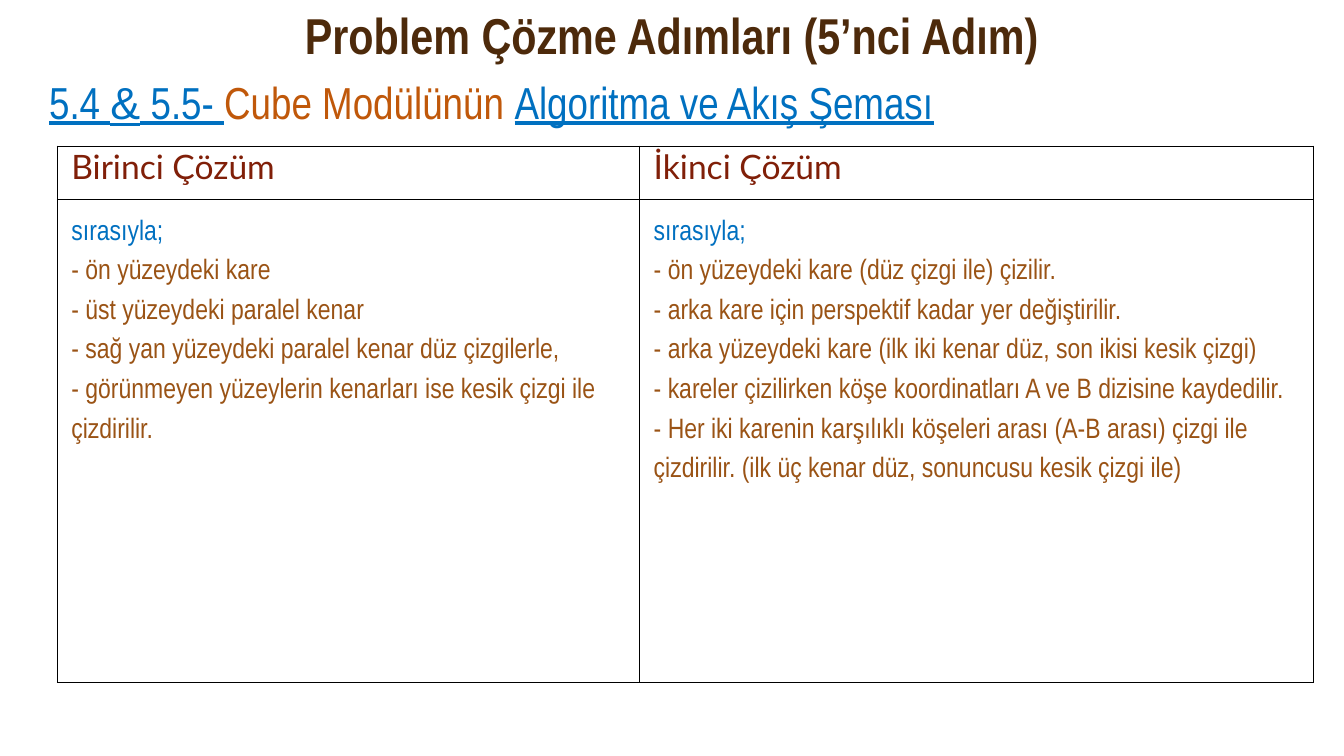
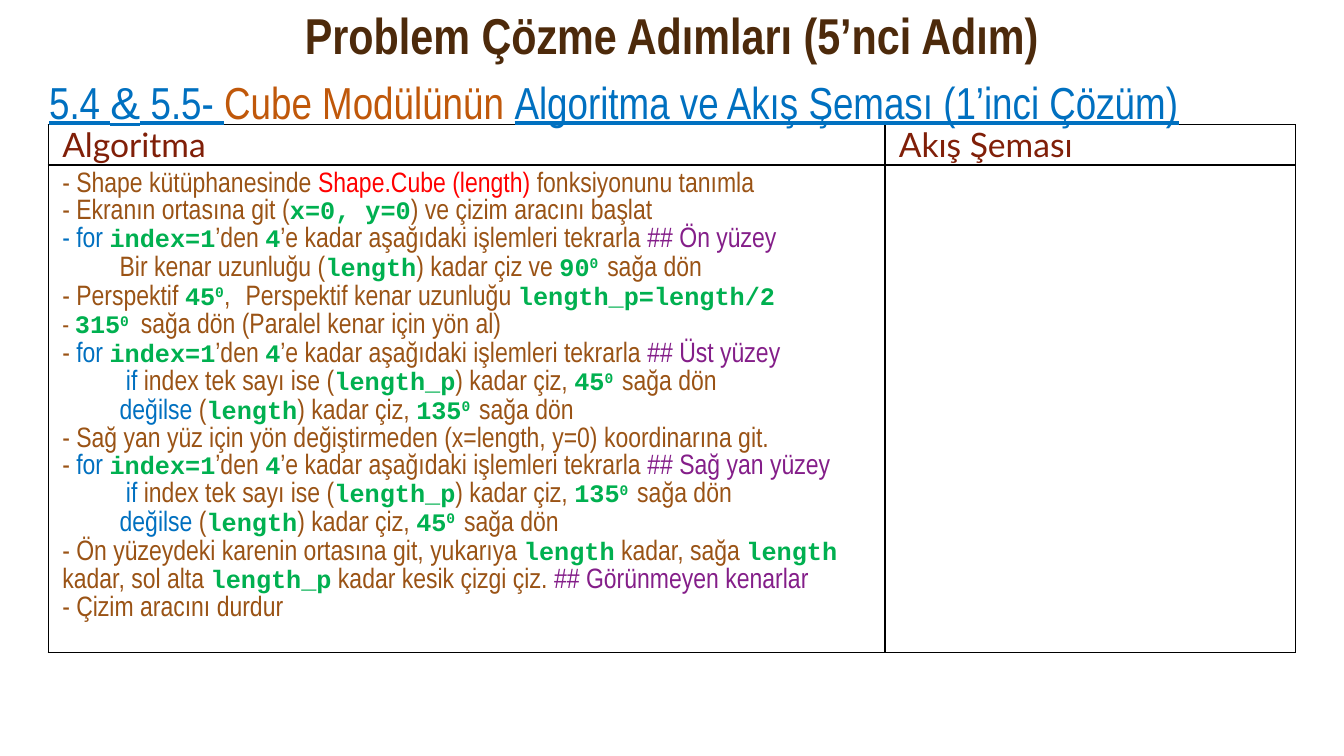
from dataclasses import dataclass

from lxml.etree import SubElement
from pptx import Presentation
from pptx.dml.color import RGBColor
from pptx.enum.text import MSO_ANCHOR as Anchor, PP_ALIGN as Align
from pptx.oxml.ns import qn
from pptx.util import Pt


@dataclass(frozen=True)
class Theme:
    narrow: str = "Arial Narrow"
    sans: str = "Arial"
    mono: str = "Courier New"
    heading: str = "Lato"
    title_color: str = "4D2A0B"
    header_color: str = "801F08"
    accent: str = "C0580A"
    body_color: str = "9A5315"
    blue: str = "0070C0"
    green: str = "00B050"
    red: str = "FF0000"
    purple: str = "841E89"
    border: str = "000000"
    title_size: int = 36
    subtitle_size: int = 32
    header_size: int = 24
    body_size: int = 20
    code_size: int = 18
    gap_size: int = 14


theme = Theme()


def style(name, size, color, **extra):
    return {"format": {"name": name, "size": Pt(size), "bold": False, **extra}, "color": color}


STYLES = {
    "title": style(theme.narrow, theme.title_size, theme.title_color, bold=True),
    "link": style(theme.narrow, theme.subtitle_size, theme.blue, underline=True),
    "ampersand": style(theme.sans, theme.subtitle_size, theme.blue, underline=True),
    "topic": style(theme.narrow, theme.subtitle_size, theme.accent),
    "header": style(theme.heading, theme.header_size, theme.header_color),
    "text": style(theme.narrow, theme.body_size, theme.body_color),
    "small": style(theme.narrow, theme.code_size, theme.body_color),
    "keyword": style(theme.narrow, theme.body_size, theme.blue),
    "name": style(theme.narrow, theme.body_size, theme.red),
    "note": style(theme.narrow, theme.body_size, theme.purple),
    "code": style(theme.mono, theme.code_size, theme.green, bold=True),
    "degree": style(theme.mono, theme.code_size, theme.green, bold=True),
    "gap": style(theme.mono, theme.gap_size, theme.green, bold=True),
}

WIDTH, HEIGHT = 960, 540
TITLE_BOX = (0, 5.8, WIDTH, 42.5)
SUBTITLE_BOX = (28, 50, 864, 46)
CELL_INSET = 10
BODY_INSET = 5
STEP_INDENT = 41
BRANCH_INDENT = 45.5
BORDER_WIDTH = 1

TITLE = "Problem Çözme Adımları (5’nci Adım)"


def line(*runs, indent=0):
    return {"runs": runs, "indent": indent}


def loop(surface, dash="text"):
    return line((dash, "- "), ("keyword", "for "), ("code", "index=1"), ("text", "’den "),
                ("code", "4"), ("text", "’e kadar aşağıdaki işlemleri tekrarla "),
                ("note", f"## {surface}"))


def turn(angle):
    return ("code", angle), ("degree", "0 "), ("text", "sağa dön")


def branches(odd_angle, even_angle):
    return [
        line(("keyword", "if "), ("text", "index tek sayı ise ("), ("code", "length_p"),
             ("text", ") kadar çiz, "), *turn(odd_angle), indent=BRANCH_INDENT),
        line(("keyword", "değilse"), ("text", " ("), ("code", "length"),
             ("text", ") kadar çiz, "), *turn(even_angle), indent=STEP_INDENT),
    ]


def steps(*items):
    return [line(("keyword", "sırasıyla;"))] + [line(("text", f"- {item}")) for item in items]


ALGORITHM = [
    line(("text", "- Shape kütüphanesinde "), ("name", "Shape.Cube (length) "),
         ("text", "fonksiyonunu tanımla")),
    line(("text", "- Ekranın ortasına git ("), ("code", "x=0, y=0"),
         ("text", ") ve çizim aracını başlat")),
    loop("Ön yüzey", dash="keyword"),
    line(("text", "Bir kenar uzunluğu ("), ("code", "length"), ("text", ") kadar çiz ve "),
         *turn("90"), indent=STEP_INDENT),
    line(("text", "- Perspektif "), ("code", "45"), ("degree", "0"), ("text", ","),
         ("code", " "), ("text", "Perspektif kenar uzunluğu "), ("code", "length_p=length/2")),
    line(("small", "- "), ("code", "315"), ("degree", "0"), ("gap", " "),
         ("text", "sağa dön (Paralel kenar için yön al)")),
    loop("Üst yüzey"),
    *branches("45", "135"),
    line(("text", "- Sağ yan yüz için yön değiştirmeden (x=length, y=0) koordinarına git.")),
    loop("Sağ yan yüzey"),
    *branches("135", "45"),
    line(("text", "- Ön yüzeydeki karenin ortasına git, yukarıya "), ("code", "length"),
         ("text", " kadar, sağa "), ("code", "length"), ("text", " kadar, sol alta "),
         ("code", "length_p"), ("text", " kadar kesik çizgi çiz. "),
         ("note", "## Görünmeyen kenarlar")),
    line(("text", "- Çizim aracını durdur")),
]

SLIDES = [
    {
        "subject": "Algoritma ve Akış Şeması",
        "position": (41, 104.4),
        "columns": (416, 481),
        "rows": (38.2, 345),
        "spacing": 1.5,
        "headers": ("Birinci Çözüm", "İkinci Çözüm"),
        "bodies": (
            steps("ön yüzeydeki kare",
                  "üst yüzeydeki paralel kenar",
                  "sağ yan yüzeydeki paralel kenar düz çizgilerle,",
                  "görünmeyen yüzeylerin kenarları ise kesik çizgi ile çizdirilir."),
            steps("ön yüzeydeki kare (düz çizgi ile) çizilir.",
                  "arka kare için perspektif kadar yer değiştirilir.",
                  "arka yüzeydeki kare (ilk iki kenar düz, son ikisi kesik çizgi)",
                  "kareler çizilirken köşe koordinatları A ve B dizisine kaydedilir.",
                  "Her iki karenin karşılıklı köşeleri arası (A-B arası) çizgi ile "
                  "çizdirilir. (ilk üç kenar düz, sonuncusu kesik çizgi ile)"),
        ),
    },
    {
        "subject": "Algoritma ve Akış Şeması (1’inci Çözüm)",
        "position": (34.5, 89),
        "columns": (597.6, 293),
        "rows": (28.6, 348.5),
        "spacing": 1,
        "headers": ("Algoritma", "Akış Şeması"),
        "bodies": (ALGORITHM, []),
    },
]


def set_all(target, values):
    for name, value in values.items():
        setattr(target, name, value)


def place(shape, box):
    set_all(shape, dict(zip(("left", "top", "width", "height"), map(Pt, box))))


def margins(side, vertical):
    return {"margin_left": Pt(side), "margin_right": Pt(side),
            "margin_top": Pt(vertical), "margin_bottom": Pt(vertical)}


def write_lines(frame, lines, **paragraph_format):
    for index, item in enumerate(lines):
        paragraph = frame.paragraphs[0] if index == 0 else frame.add_paragraph()
        set_all(paragraph, paragraph_format)
        if item["indent"]:
            paragraph._p.get_or_add_pPr().set("marL", str(Pt(item["indent"])))
        for key, text in item["runs"]:
            run = paragraph.add_run()
            run.text = text
            set_all(run.font, STYLES[key]["format"])
            run.font.color.rgb = RGBColor.from_string(STYLES[key]["color"])
            if key == "degree":
                run.font._element.set("baseline", "30000")


def add_title(slide):
    title = slide.shapes.title
    place(title, TITLE_BOX)
    set_all(title.text_frame, {"vertical_anchor": Anchor.MIDDLE, "word_wrap": True})
    write_lines(title.text_frame, [line(("title", TITLE))],
                alignment=Align.CENTER, line_spacing=0.9)


def add_subtitle(slide, subject):
    box = slide.shapes.add_textbox(*map(Pt, SUBTITLE_BOX))
    box.text_frame.word_wrap = True
    write_lines(box.text_frame, [line(("link", "5.4 "), ("ampersand", "&"), ("link", " 5.5- "),
                                      ("topic", "Cube Modülünün "), ("link", subject))])


def format_cell(cell, inset):
    set_all(cell, margins(CELL_INSET, inset))
    properties = cell._tc.get_or_add_tcPr()
    for side in ("lnL", "lnR", "lnT", "lnB"):
        border = SubElement(properties, qn(f"a:{side}"), w=str(Pt(BORDER_WIDTH)))
        fill = SubElement(border, qn("a:solidFill"))
        SubElement(fill, qn("a:srgbClr"), val=theme.border)
    cell.fill.background()


def add_solution_table(slide, content):
    columns, rows = content["columns"], content["rows"]
    box = (*content["position"], sum(columns), sum(rows))
    table = slide.shapes.add_table(len(rows), len(columns), *map(Pt, box)).table
    set_all(table, {"first_row": False, "horz_banding": False})
    for row, height in zip(table.rows, rows):
        row.height = Pt(height)
    for index, width in enumerate(columns):
        table.columns[index].width = Pt(width)
        header, body = table.cell(0, index), table.cell(1, index)
        format_cell(header, 0)
        format_cell(body, BODY_INSET)
        write_lines(header.text_frame, [line(("header", content["headers"][index]))])
        write_lines(body.text_frame, content["bodies"][index], line_spacing=content["spacing"])


def main():
    presentation = Presentation()
    set_all(presentation, {"slide_width": Pt(WIDTH), "slide_height": Pt(HEIGHT)})
    for content in SLIDES:
        slide = presentation.slides.add_slide(presentation.slide_layouts[5])
        add_title(slide)
        add_solution_table(slide, content)
        add_subtitle(slide, content["subject"])
    presentation.save("out.pptx")


if __name__ == "__main__":
    main()
